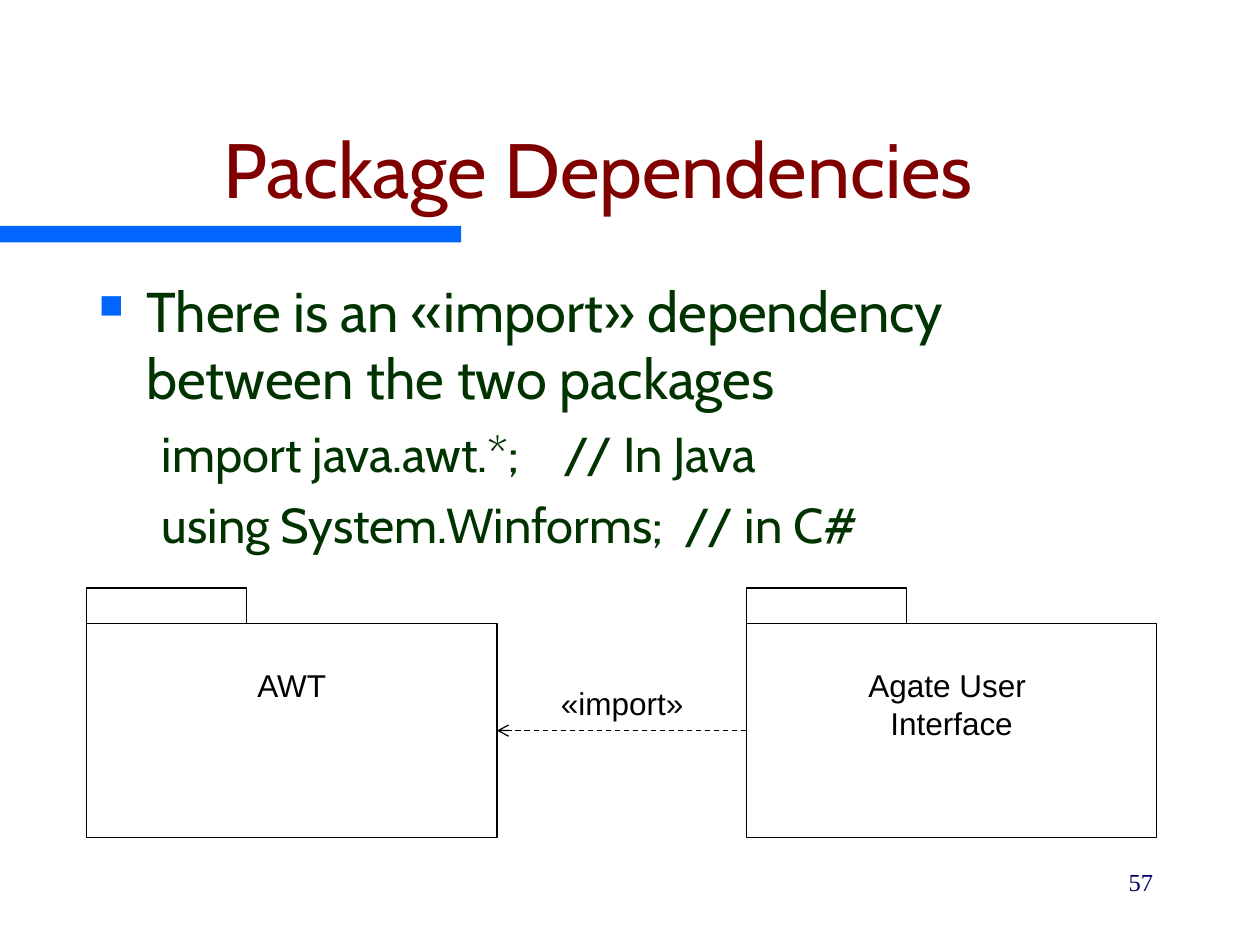
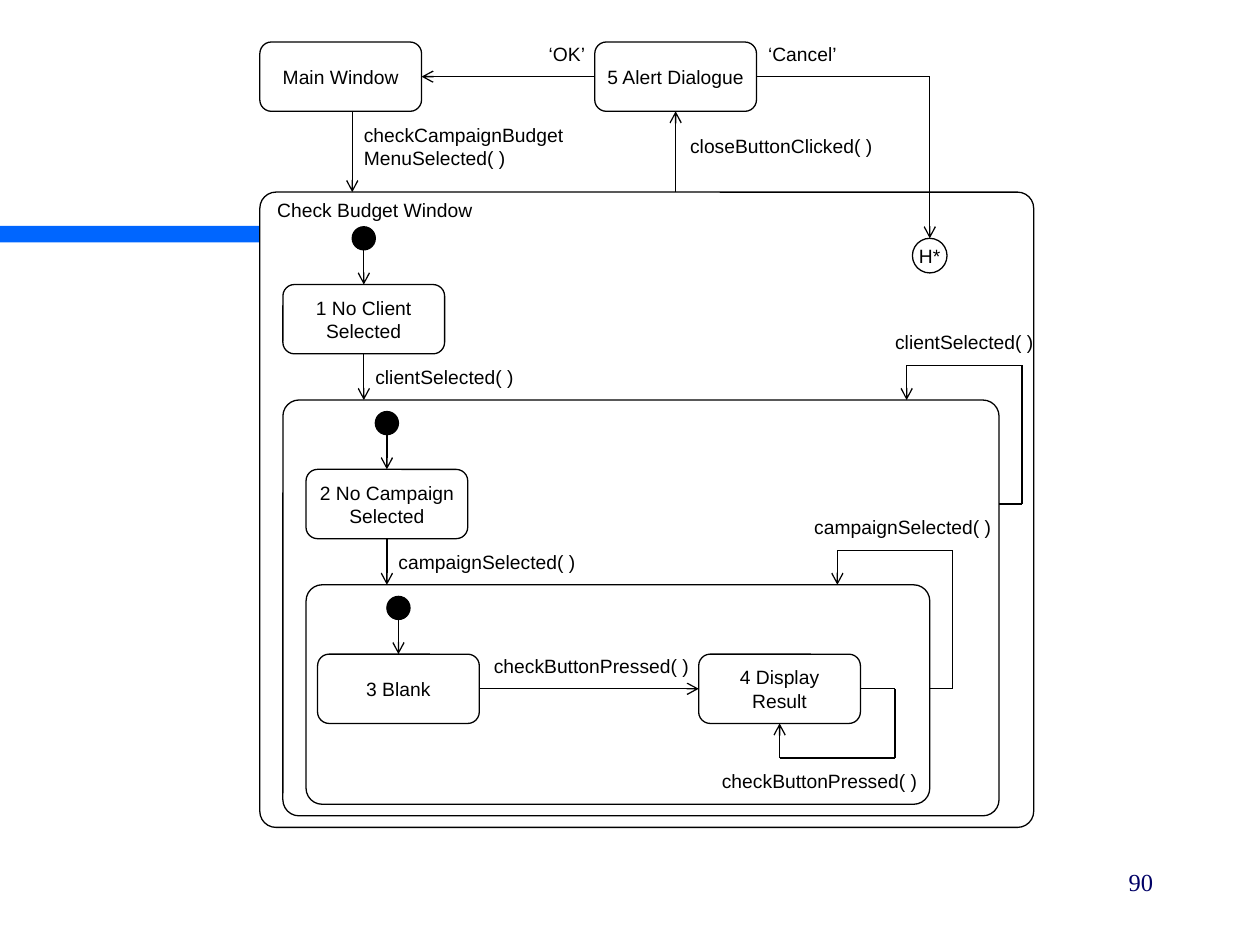
from itertools import pairwise
from lxml.etree import SubElement as Sub
from pptx import Presentation
from pptx.dml.color import RGBColor
from pptx.enum.dml import MSO_LINE
from pptx.enum.shapes import MSO_CONNECTOR as Conn, MSO_SHAPE as Kind
from pptx.enum.text import MSO_ANCHOR as Anchor, PP_ALIGN as Align
from pptx.oxml.ns import qn
from pptx.util import Pt

# Shared look
BLUE, MAROON, GREEN, NAVY = "0066FF", "800000", "003300", "000066"
BLACK, WHITE = "000000", "FFFFFF"
HEAD, SANS, SERIF = "Cabin", "Arial", "Times New Roman"

# Package slide: (text, extra width of the gap after it)
POINT = "There is an «import» dependency between the two packages"
CODE = [("import java.awt.*;", 19, "// In Java"),
        ("using System.Winforms;", 6, "// in C#")]
PACKS = [(49.5, ["AWT"], 30), (426.5, ["Agate User ", "Interface"], 51)]

# State slide, in grid steps: x, y, width, height
STEP, LEFT, TOP = 6.6, 148.5, 24
FRAMES = [(0, 13, 67, 55), (2, 31, 62, 36), (4, 47, 54, 19)]
STATES = [(0, 0, ["Main Window"]), (29, 0, ["5 Alert Dialogue"]),
          (2, 21, ["1 No Client", "Selected"]),
          (4, 37, ["2 No Campaign", "Selected"]),
          (5, 53, ["3 Blank"]), (38, 53, ["4 Display", "Result"])]
STARTS = [(8, 16), (10, 32), (11, 48)]
ROUTES = [
    [(29, 3), (14, 3)], [(8, 6), (8, 13)], [(36, 13), (36, 6)],
    [(43, 3), (58, 3), (58, 17)],
    [(9, 18), (9, 21)], [(9, 27), (9, 31)],
    [(11, 34), (11, 37)], [(11, 43), (11, 47)],
    [(12, 50), (12, 53)], [(19, 56), (38, 56)],
    [(64, 40), (66, 40), (66, 28), (56, 28), (56, 31)],
    [(58, 56), (60, 56), (60, 44), (50, 44), (50, 47)],
    [(52, 56), (55, 56), (55, 62), (45, 62), (45, 59)],
]
# x, y in grid steps, width in points, lines
LABELS = [
    (25, 0, 24, ["‘OK’"]), (44, 0, 44, ["‘Cancel’"]),
    (9, 7, 120, ["checkCampaignBudget", "MenuSelected( )"]),
    (37.25, 8, 110, ["closeButtonClicked( )"]),
    (1.5, 13.5, 120, ["Check Budget Window"]),
    (55, 25, 88, ["clientSelected( )"]),
    (10, 28, 88, ["clientSelected( )"]),
    (48, 41, 108, ["campaignSelected( )"]),
    (12, 44, 108, ["campaignSelected( )"]),
    (20.25, 53, 118, ["checkButtonPressed( )"]),
    (40, 63, 118, ["checkButtonPressed( )"]),
]


def rgb(tone):
    return RGBColor.from_string(tone)


def add_run(para, text, size, font, tone, gap=0):
    run = para.add_run()
    run.text = text
    run.font.size, run.font.name = Pt(size), font
    run.font.color.rgb = rgb(tone)
    if gap:
        run.font._element.set("spc", str(gap * 100))


def set_frame(shape, anchor=Anchor.TOP, wrap=True, pad=(7.2, 3.6)):
    frame = shape.text_frame
    frame.word_wrap, frame.vertical_anchor = wrap, anchor
    frame.margin_left = frame.margin_right = Pt(pad[0])
    frame.margin_top = frame.margin_bottom = Pt(pad[1])
    return frame


def write(frame, lines, size, font=SANS, tone=BLACK, align=Align.CENTER):
    for i, line in enumerate(lines):
        para = frame.paragraphs[0] if i == 0 else frame.add_paragraph()
        para.alignment = align
        add_run(para, line, size, font, tone)


def add_text(slide, x, y, w, h, **look):
    return set_frame(slide.shapes.add_textbox(Pt(x), Pt(y), Pt(w), Pt(h)), **look)


def spot(x, y):
    return round(x, 1), round(y, 1)


def add_box(slide, sides, kind, x, y, w, h, fill=WHITE, line=BLACK, curve=0):
    """Draw a shape and note the middle of each side for joining lines."""
    shape = slide.shapes.add_shape(kind, Pt(x), Pt(y), Pt(w), Pt(h))
    shape.shadow.inherit = False
    shape.fill.solid()
    shape.fill.fore_color.rgb = rgb(fill)
    if line:
        shape.line.color.rgb = rgb(line)
        shape.line.width = Pt(0.75)
    else:
        shape.line.fill.background()
    if curve:
        shape.adjustments[0] = curve / min(w, h)
    mids = [(x + w / 2, y), (x, y + h / 2), (x + w / 2, y + h), (x + w, y + h / 2)]
    for i, mid in enumerate(mids[:1] if kind == Kind.OVAL else mids):
        sides[spot(*mid)] = shape, i
    return shape


def add_line(slide, sides, start, end, arrow=False, dash=False):
    line = slide.shapes.add_connector(Conn.STRAIGHT, *map(Pt, start + end))
    line.line.color.rgb = rgb(BLACK)
    line.line.width = Pt(0.75)
    if dash:
        line.line.dash_style = MSO_LINE.DASH
    if arrow:
        Sub(line.line._get_or_add_ln(), qn("a:tailEnd"), type="arrow")
    Sub(line._element.spPr, qn("a:effectLst"))
    for point, join in ((start, line.begin_connect), (end, line.end_connect)):
        if spot(*point) in sides:
            join(*sides[spot(*point)])


def new_slide(deck, page):
    slide = deck.slides.add_slide(deck.slide_layouts[6])
    add_box(slide, {}, Kind.RECTANGLE, 0, 129, 263.5, 9.5, BLUE, None)
    frame = add_text(slide, 516, 492, 150, 36)
    write(frame, [page], 14, SERIF, NAVY, Align.RIGHT)
    frame.paragraphs[0].space_before = Pt(8.8)
    return slide


def indent(para, left, hang, before):
    props = para._p.get_or_add_pPr()
    props.set("marL", str(Pt(left)))
    props.set("indent", str(Pt(-hang)))
    para.space_before = Pt(before)
    return props


def draw_packs(deck):
    slide, sides = new_slide(deck, "57"), {}
    title = add_text(slide, 18, 36, 648, 90, anchor=Anchor.BOTTOM)
    write(title, ["Package Dependencies"], 44, HEAD, MAROON)

    # Bullet and code lines
    body = add_text(slide, 49.5, 154.5, 612, 324)
    para = body.paragraphs[0]
    props = indent(para, 27, 27, 8)
    Sub(Sub(props, qn("a:buClr")), qn("a:srgbClr"), val=BLUE)
    Sub(props, qn("a:buSzPct"), val="60000")
    Sub(props, qn("a:buChar"), char="■")
    add_run(para, POINT, 32, HEAD, GREEN)
    for code, gap, note in CODE:
        para = body.add_paragraph()
        indent(para, 58.5, 22.5, 7)
        for text, wide in ((code, 0), (" ", gap), (note, 0)):
            add_run(para, text, 28, HEAD, GREEN, wide)

    # Packages: body, name and tab
    y, w, h = 356.25, 234.5, 122.5
    for x, name, tall in PACKS:
        add_box(slide, sides, Kind.RECTANGLE, x, y, w, h)
        plate = add_box(slide, {}, Kind.RECTANGLE, x + (w - 112) / 2, 376.5,
                        112, tall, line=None)
        frame = set_frame(plate, Anchor.MIDDLE, False)
        write(frame, name[:1], 18)
        for more in name[1:]:
            frame.paragraphs[0].add_line_break()
            add_run(frame.paragraphs[0], more, 18, SANS, BLACK)
        add_box(slide, {}, Kind.RECTANGLE, x, y - 20.25, 91.5, 20.25)

    # Dependency
    mid = y + h / 2
    add_line(slide, sides, (PACKS[1][0], mid), (PACKS[0][0] + w, mid), True, True)
    label = add_text(slide, 299.5, 386.75, 112, 30, anchor=Anchor.MIDDLE, wrap=False)
    write(label, ["«import»"], 18)


def draw_states(deck):
    slide, sides = new_slide(deck, "90"), {}

    def at(x, y):
        return LEFT + x * STEP, TOP + y * STEP

    def place(kind, x, y, w, h, **look):
        return add_box(slide, sides, kind, *at(x, y), w * STEP, h * STEP, **look)

    # Frames, states, start dots and history mark
    for frame in FRAMES:
        place(Kind.ROUNDED_RECTANGLE, *frame, curve=9.2)
    for x, y, name in STATES:
        state = place(Kind.ROUNDED_RECTANGLE, x, y, 14, 6, curve=STEP)
        write(set_frame(state, Anchor.MIDDLE, pad=(0, 0)), name, 11)
    for x, y in STARTS:
        place(Kind.OVAL, x, y, 2, 2, fill=BLACK)
    past = place(Kind.OVAL, 56.5, 17, 3, 3)
    write(set_frame(past, Anchor.MIDDLE, False, (0, 0)), ["H*"], 11)

    # Transitions, with the arrowhead on the last leg
    for route in ROUTES:
        for start, end in pairwise(route):
            add_line(slide, sides, at(*start), at(*end), end == route[-1])
    for x, y, w, lines in LABELS:
        label = add_text(slide, *at(x, y), w, 13.2 * len(lines), pad=(0, 0))
        write(label, lines, 11, align=Align.LEFT)


def main():
    deck = Presentation()
    deck.slide_width, deck.slide_height = Pt(720), Pt(540)
    draw_packs(deck)
    draw_states(deck)
    deck.save("out.pptx")


if __name__ == "__main__":
    main()
